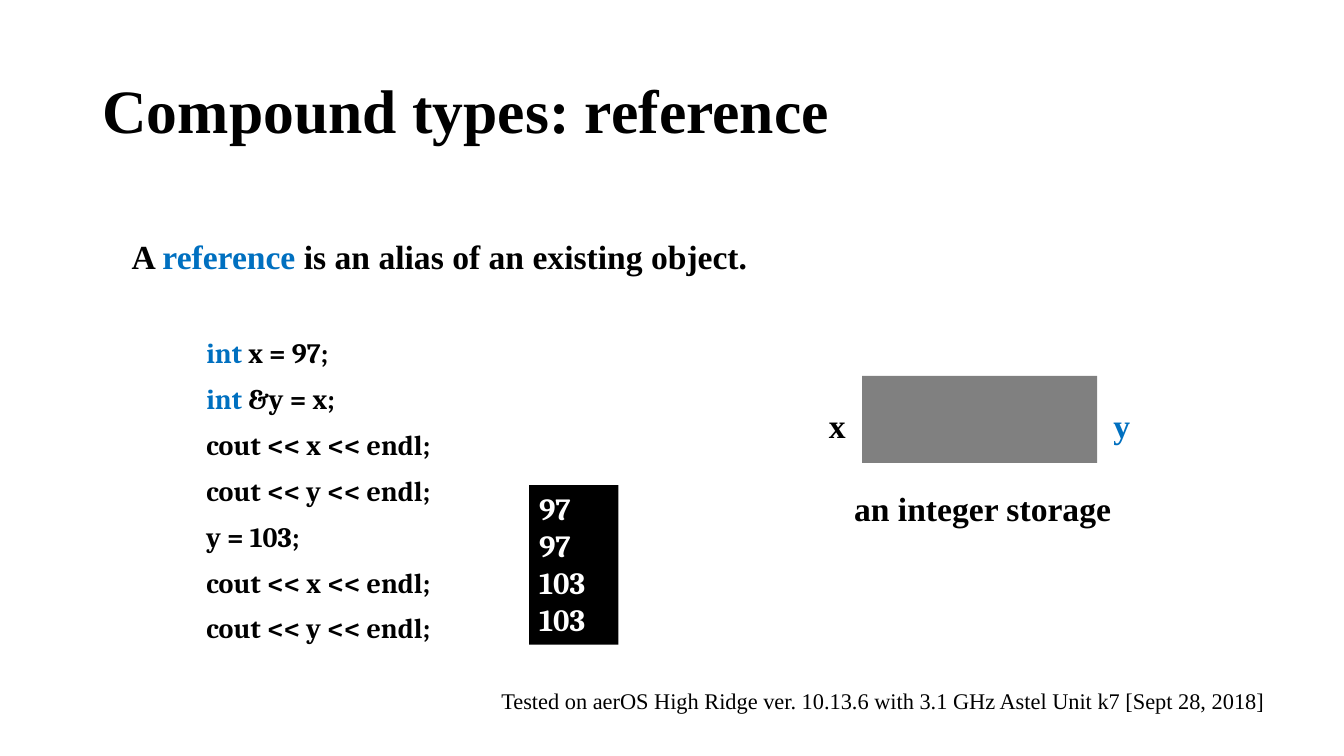
from pptx import Presentation
from pptx.dml.color import RGBColor
from pptx.enum.shapes import MSO_SHAPE as Shape
from pptx.enum.text import MSO_ANCHOR as Anchor, MSO_AUTO_SIZE as AutoSize, PP_ALIGN as Align
from pptx.util import Pt

PX = 9525
BLACK = RGBColor(0x00, 0x00, 0x00)
WHITE = RGBColor(0xFF, 0xFF, 0xFF)
BLUE = RGBColor(0x00, 0x70, 0xC0)
GRAY = RGBColor(0x80, 0x80, 0x80)
SERIF = "Times New Roman"
CODE_FONT = "Cambria"
TITLE_ONLY = 5


def emu(*lengths):
    return [length * PX for length in lengths]


def write(frame, lines, size=24, font=SERIF, color=BLACK, bold=True,
          align=Align.JUSTIFY, spacing=1.5, anchor=Anchor.TOP):
    frame.word_wrap = True
    frame.auto_size = AutoSize.NONE
    frame.vertical_anchor = anchor
    for index, line in enumerate(lines):
        para = frame.add_paragraph() if index else frame.paragraphs[0]
        para.alignment = align
        para.line_spacing = spacing
        para.space_before = Pt(0)
        spans = [(line, color)] if isinstance(line, str) else line
        for text, span_color in spans:
            span = para.add_run()
            span.text = text
            span.font.size = Pt(size)
            span.font.name = font
            span.font.bold = bold
            span.font.color.rgb = span_color


def add_text(page, box, lines, **style):
    write(page.shapes.add_textbox(*emu(*box)).text_frame, lines, **style)


def add_block(page, box, fill):
    block = page.shapes.add_shape(Shape.RECTANGLE, *emu(*box))
    block.shadow.inherit = False
    block.fill.solid()
    block.fill.fore_color.rgb = fill
    block.line.fill.background()
    return block


def add_title(page, box, text):
    title = page.shapes.title
    title.left, title.top, title.width, title.height = emu(*box)
    write(title.text_frame, [text], size=44, align=Align.LEFT,
          spacing=0.9, anchor=Anchor.MIDDLE)


def add_storage(page, box):
    left, top, width, height = box
    add_block(page, box, GRAY)
    add_text(page, (left - 41, top + 4, 42, 60), ["x"])
    add_text(page, (left + width + 6, top + 4, 42, 60), ["y"], color=BLUE)
    add_text(page, (left - 17, top + height, 277, 60), ["an integer storage"])


def add_code(page, box):
    lines = [
        [("int ", BLUE), ("x = 97;", BLACK)],
        [("int ", BLUE), ("&y = x;", BLACK)],
        "cout << x << endl;",
        "cout << y << endl;",
        "y = 103;",
        "cout << x << endl;",
        "cout << y << endl;",
    ]
    add_text(page, box, lines, size=20, font=CODE_FONT, spacing=Pt(32.8))


def add_output(page, box):
    console = add_block(page, box, BLACK)
    write(console.text_frame, ["97", "97", "103", "103"], size=22,
          font=CODE_FONT, color=WHITE, align=Align.LEFT, spacing=1.0)


def main():
    deck = Presentation()
    deck.slide_width, deck.slide_height = emu(1280, 720)
    page = deck.slides.add_slide(deck.slide_layouts[TITLE_ONLY])
    add_title(page, (88, 39, 1104, 139), "Compound types: reference")
    add_text(page, (116, 201, 960, 60), [[
        ("A ", BLACK),
        ("reference", BLUE),
        (" is an alias of an existing object.", BLACK),
    ]])
    add_storage(page, (821, 358, 224, 83))
    add_code(page, (187, 303, 317, 317))
    add_output(page, (504, 462, 85, 152))
    add_text(page, (468, 637, 761, 44), [
        "Tested on aerOS High Ridge ver. 10.13.6 with 3.1 GHz Astel Unit k7 [Sept 28, 2018]",
    ], size=16, bold=False)
    deck.save("out.pptx")


if __name__ == "__main__":
    main()
